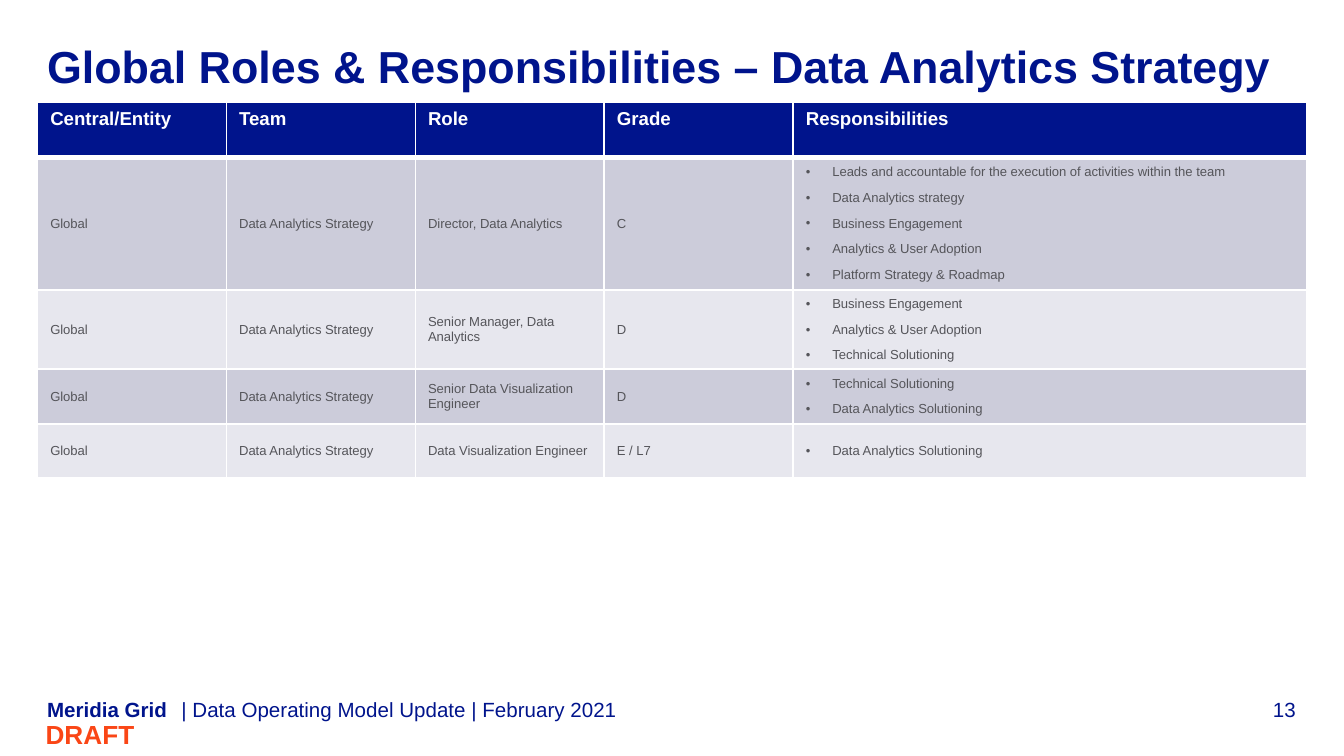
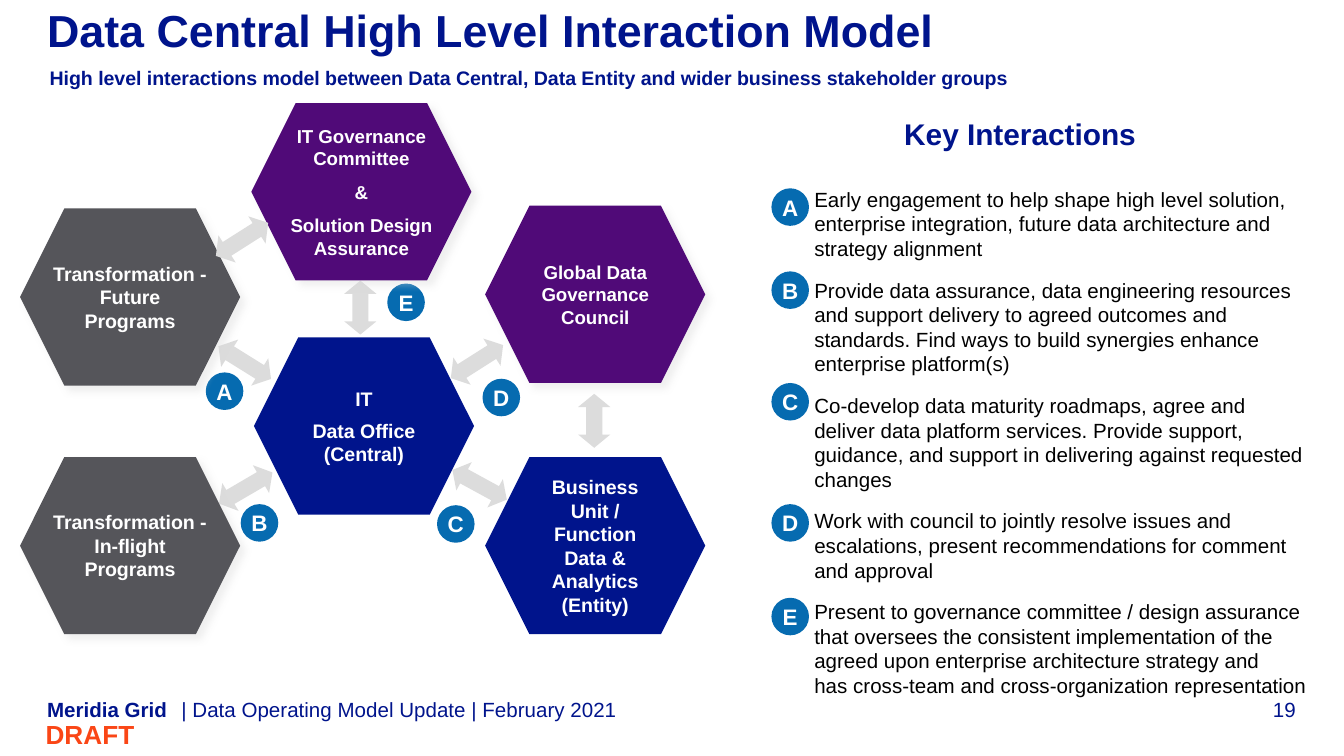
from pptx import Presentation
from pptx.dml.color import RGBColor
from pptx.enum.shapes import MSO_SHAPE
from pptx.enum.text import MSO_ANCHOR, PP_ALIGN
from pptx.oxml import parse_xml
from pptx.oxml.ns import nsdecls
from pptx.util import Cm, Pt

# Shared look
FONT = "Arial"
NAVY, PURPLE, GREY, BLUE = "00148C", "500A78", "55555A", "066BB0"
WHITE, BLACK, ORANGE, SILVER = "FFFFFF", "000000", "FA4616", "DCDCDC"
BANDS = ["CCCCDA", "E7E7EE"]
CENTER, RIGHT = PP_ALIGN.CENTER, PP_ALIGN.RIGHT
NO_INSET = (0, 0, 0, 0)
BOX_INSET = (0.25, 0.13, 0.25, 0.13)
NBSP = chr(160)  # keeps two words on one line

# Slide content
COLUMNS = [("Central/Entity", 3.57), ("Team", 3.57), ("Role", 3.57),
           ("Grade", 3.57), ("Responsibilities", 9.7)]
HEADER_HEIGHT = 1.04
ROLES = [  # role, grade, responsibilities, row height
    ("Director, Data Analytics", "C",
     ["Leads and accountable for the execution of activities within the team",
      "Data Analytics strategy", "Business Engagement",
      "Analytics & User Adoption", "Platform Strategy & Roadmap"], 2.43),
    ("Senior Manager, Data Analytics", "D",
     ["Business Engagement", "Analytics & User Adoption",
      "Technical Solutioning"], 1.5),
    ("Senior Data Visualization Engineer", "D",
     ["Technical Solutioning", "Data Analytics Solutioning"], 1.03),
    ("Data Visualization Engineer", "E / L7",
     ["Data Analytics Solutioning"], 1.03),
]

INTERACTIONS = [  # letter, top of its legend badge, text
    ("A", 3.56, "Early engagement to help shape high level solution, enterprise "
     "integration, future data architecture and strategy alignment"),
    ("B", 5.13, "Provide data assurance, data engineering resources and support "
     "delivery to agreed outcomes and standards. Find ways to build synergies "
     "enhance enterprise platform(s)"),
    ("C", 7.24, "Co-develop data maturity roadmaps, agree and deliver data platform "
     "services. Provide support, guidance, and support in delivering against "
     "requested changes"),
    ("D", 9.53, "Work with council to jointly resolve issues and escalations, "
     "present recommendations for comment and approval"),
    ("E", 11.3, "Present to governance committee / design assurance that oversees "
     f"the consistent implementation{NBSP}of the agreed upon enterprise architecture "
     f"strategy and has{NBSP}cross-team and{NBSP}cross-organization representation"),
]
BADGES = [("A", 3.89, 7.04), ("B", 4.55, 9.53), ("C", 8.26, 9.55),
          ("D", 9.12, 7.16), ("E", 7.32, 5.36)]

CENTRAL = dict(color=NAVY, size=10.5, inset=BOX_INSET, after=4.5)
PROGRAM = dict(color=GREY, size=10.5, shadow=True)
COUNCIL = dict(color=PURPLE, size=10, shadow=True)
GROUPS = [  # left, top, paragraphs, style
    (4.8, 6.38, ["IT", "Data Office (Central)"], CENTRAL),
    (9.17, 8.64, ["Business Unit / Function Data & Analytics (Entity)"], CENTRAL),
    (0.38, 8.64, ["Transformation - In-flight Programs"], PROGRAM),
    (0.38, 3.94, ["Transformation - Future Programs"], PROGRAM),
    (4.75, 1.95, ["IT Governance Committee", "&",
                  "Solution Design Assurance"], COUNCIL),
    (9.17, 3.89, ["Global Data Governance Council"], COUNCIL),
]
LONG, SHORT = 1.17, 1.02
LINKS_BEHIND = [(8.48, 8.86, LONG, 28.6), (6.3, 5.51, SHORT, 90),
                (4.04, 6.55, LONG, 31.9), (4.06, 8.92, LONG, 329.7)]
LINKS_FRONT = [(10.72, 7.65, SHORT, 90), (8.43, 6.53, LONG, 327.6),
               (3.99, 4.22, LONG, 327.6)]


# Helpers
def rgb(value):
    return RGBColor.from_string(value)


def assign(obj, values):
    for name, value in values.items():
        setattr(obj, name, value)


def write(tf, texts, size, color, bold=False, inset=None,
          anchor=MSO_ANCHOR.TOP, wrap=True, before=0, **para):
    tf.word_wrap = wrap
    tf.vertical_anchor = anchor
    if inset is not None:
        sides = ("margin_left", "margin_top", "margin_right", "margin_bottom")
        assign(tf, {side: Cm(v) for side, v in zip(sides, inset)})
    for i, text in enumerate(texts):
        p = tf.paragraphs[0] if i == 0 else tf.add_paragraph()
        assign(p, para)
        if i and before:
            p.space_before = Pt(before)
        r = p.add_run()
        r.text = text
        assign(r.font, dict(name=FONT, size=Pt(size), bold=bold))
        r.font.color.rgb = rgb(color)


def add_text(s, box, texts, size, color, **fmt):
    sp = s.shapes.add_textbox(*map(Cm, box))
    fmt.setdefault("inset", NO_INSET)
    write(sp.text_frame, texts, size, color, **fmt)


def add_solid(s, kind, box, color):
    sp = s.shapes.add_shape(kind, *map(Cm, box))
    sp.shadow.inherit = False
    sp.fill.solid()
    sp.fill.fore_color.rgb = rgb(color)
    sp.line.fill.background()
    return sp


def add_badge(s, letter, left, top):
    sp = add_solid(s, MSO_SHAPE.OVAL, (left, top, 0.71, 0.71), BLUE)
    write(sp.text_frame, [letter], 12, WHITE, bold=True, inset=NO_INSET,
          anchor=MSO_ANCHOR.MIDDLE, wrap=False, alignment=CENTER)


def add_link(s, left, top, length, angle):
    sp = add_solid(s, MSO_SHAPE.LEFT_RIGHT_ARROW, (left, top, length, 0.61), SILVER)
    sp.adjustments[0], sp.adjustments[1] = 0.5, 0.41
    sp.rotation = angle


def add_group(s, left, top, texts, color, size, inset=NO_INSET, after=6, shadow=False):
    sp = add_solid(s, MSO_SHAPE.HEXAGON, (left, top, 4.16, 3.35), color)
    if shadow:
        effects = sp._element.spPr.find("{*}effectLst")
        effects.append(parse_xml(
            f'<a:outerShdw {nsdecls("a")} blurRad="{Pt(4)}" dist="{Pt(4)}" '
            'dir="2700000" algn="tl" rotWithShape="0"><a:srgbClr val="D9D9D9">'
            '<a:alpha val="40000"/></a:srgbClr></a:outerShdw>'))
    write(sp.text_frame, texts, size, WHITE, bold=True, inset=inset,
          anchor=MSO_ANCHOR.MIDDLE, alignment=CENTER, space_after=Pt(after))


def add_bullets(tf, color):
    for p in tf.paragraphs:
        pPr = p._p.get_or_add_pPr()
        pPr.set("marL", str(Cm(0.5)))
        pPr.set("indent", str(-Cm(0.5)))
        for xml in (f'<a:buClr {nsdecls("a")}><a:srgbClr val="{color}"/></a:buClr>',
                    f'<a:buFont {nsdecls("a")} typeface="{FONT}"/>',
                    f'<a:buChar {nsdecls("a")} char="•"/>'):
            pPr.append(parse_xml(xml))


def paint_cell(cell, color, top=1, bottom=1):
    tcPr = cell._tc.get_or_add_tcPr()
    for side, width in (("L", 1), ("R", 1), ("T", top), ("B", bottom)):
        tcPr.append(parse_xml(
            f'<a:ln{side} {nsdecls("a")} w="{Pt(width)}"><a:solidFill>'
            f'<a:srgbClr val="{WHITE}"/></a:solidFill></a:ln{side}>'))
    cell.fill.solid()
    cell.fill.fore_color.rgb = rgb(color)


def fill_cell(cell, texts, size, color, bold=False, anchor=MSO_ANCHOR.TOP, pad=0.13):
    write(cell.text_frame, texts, size, color, bold=bold, space_after=Pt(6))
    assign(cell, dict(vertical_anchor=anchor, margin_left=Cm(0.24),
                      margin_top=Cm(pad), margin_bottom=Cm(pad)))


def add_roles_table(s):
    widths = [width for _, width in COLUMNS]
    heights = [HEADER_HEIGHT] + [role[-1] for role in ROLES]
    table = s.shapes.add_table(len(heights), len(widths), Cm(0.71), Cm(1.93),
                               Cm(sum(widths)), Cm(sum(heights))).table
    for column, width in zip(table.columns, widths):
        column.width = Cm(width)
    for row, height in zip(table.rows, heights):
        row.height = Cm(height)
    # Header
    for j, (heading, _) in enumerate(COLUMNS):
        paint_cell(table.cell(0, j), NAVY, bottom=3)
        fill_cell(table.cell(0, j), [heading], 10, WHITE, bold=True)
    # Roles
    for i, (role, grade, duties, _) in enumerate(ROLES, 1):
        row = [["Global"], ["Data Analytics Strategy"], [role], [grade], duties]
        for j, texts in enumerate(row):
            cell = table.cell(i, j)
            paint_cell(cell, BANDS[(i - 1) % 2], top=3 if i == 1 else 1)
            fill_cell(cell, texts, 7, GREY, anchor=MSO_ANCHOR.MIDDLE, pad=0.09)
        add_bullets(cell.text_frame, GREY)


def add_page(prs, title, title_top, number):
    s = prs.slides.add_slide(prs.slide_layouts[6])
    add_text(s, (0.89, title_top, 23.6, 1.19), [title], 24, NAVY, bold=True)
    # Footer
    footer = dict(size=11, color=NAVY, anchor=MSO_ANCHOR.BOTTOM)
    add_text(s, (0.89, 13.16, 2.54, 0.48), ["Meridia Grid"], bold=True, **footer)
    add_text(s, (3.43, 13.16, 19.99, 0.48),
             ["| Data Operating Model Update | February 2021"], **footer)
    add_text(s, (23.01, 13.16, 1.48, 0.48), [number], alignment=RIGHT, **footer)
    add_text(s, (0.05, 13.46, 2.74, 0.83), ["DRAFT"], 14, ORANGE, bold=True,
             inset=BOX_INSET, anchor=MSO_ANCHOR.MIDDLE, alignment=RIGHT)
    return s


def add_interaction_model(s):
    for link in LINKS_BEHIND:
        add_link(s, *link)
    for badge in BADGES:
        add_badge(s, *badge)
    for left, top, texts, style in GROUPS:
        add_group(s, left, top, texts, **style)
    for link in LINKS_FRONT:
        add_link(s, *link)


def add_key_interactions(s):
    add_text(s, (13.16, 2.06, 12.24, 0.94), ["Key Interactions"], 16, NAVY,
             bold=True, inset=BOX_INSET, alignment=CENTER)
    add_text(s, (15.06, 3.33, 9.67, 6.3), [text for _, _, text in INTERACTIONS],
             11, BLACK, inset=(0.33, 0.2, 0, 0.2), before=9)
    for letter, top, _ in INTERACTIONS:
        add_badge(s, letter, 14.58, top)


def main():
    prs = Presentation()
    prs.slide_width, prs.slide_height = Cm(25.4), Cm(14.29)

    # Roles
    s = add_page(prs, "Global Roles & Responsibilities – Data Analytics Strategy",
                 0.74, "13")
    add_roles_table(s)

    # Interaction model
    s = add_page(prs, "Data Central High Level Interaction Model", 0.05, "19")
    add_text(s, (0.94, 1.24, 22.45, 0.53),
             ["High level interactions model between Data Central, Data Entity "
              "and wider business stakeholder groups"], 10.5, NAVY, bold=True,
             alignment=PP_ALIGN.JUSTIFY)
    add_interaction_model(s)
    add_key_interactions(s)

    prs.save("out.pptx")


if __name__ == "__main__":
    main()
